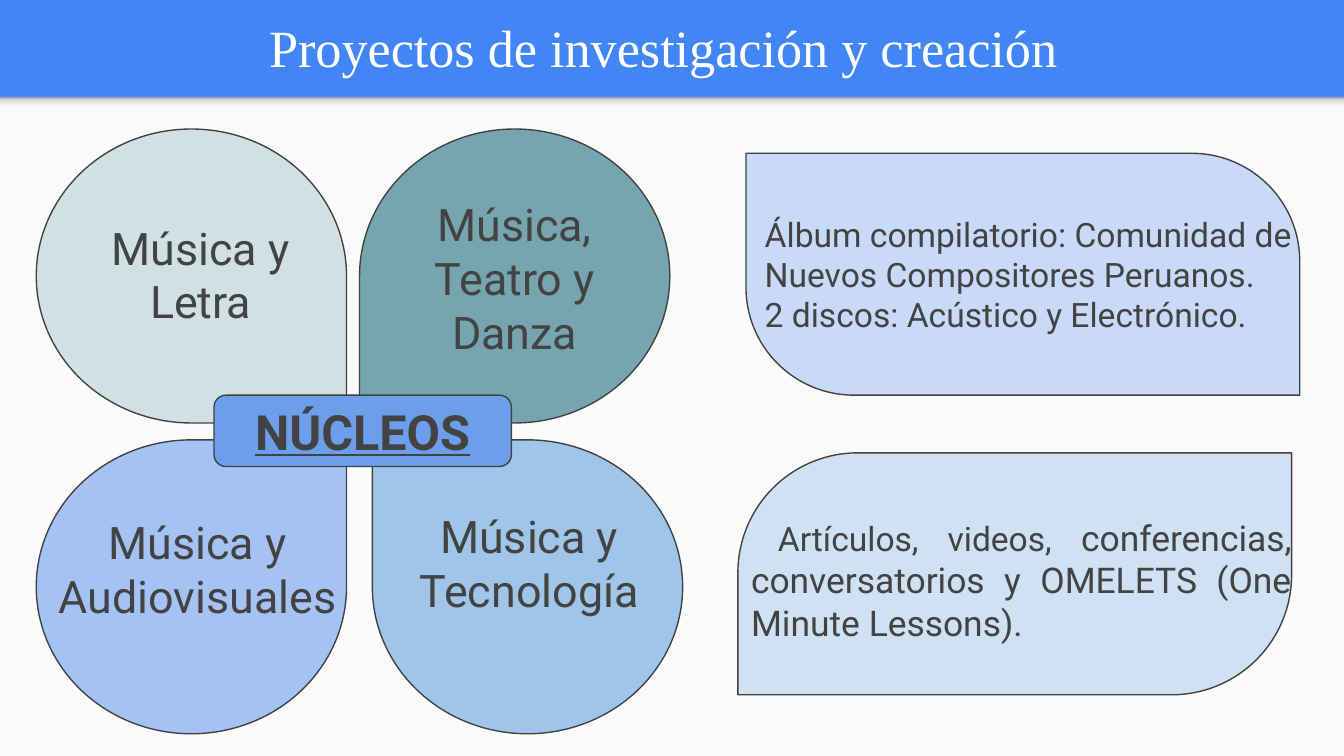
from collections import namedtuple

from lxml.etree import SubElement
from pptx import Presentation
from pptx.dml.color import RGBColor
from pptx.enum.shapes import MSO_SHAPE as SHAPE
from pptx.enum.text import MSO_ANCHOR as ANCHOR, PP_ALIGN as ALIGN
from pptx.oxml.ns import qn
from pptx.util import Inches, Pt

Box = namedtuple("Box", "x y w h")
W = 10
H = W * 9 / 16
BAND = 0.72
FONT = "Roboto"
C = {
    "band": "4285F4", "page": "FAFAFA", "title": "FFFFFF",
    "ink": "434343", "line": "424242", "core": "6D9EEB",
    "letra": "D0E0E3", "danza": "76A5AF", "audio": "A4C2F4", "tecno": "9FC5E8",
    "album": "C9DAF8", "articles": "CFE2F3",
    "shade_light": "F9F9F9", "shade_mid": "DEDEDE", "shade_dark": "999999",
}


def rgb(name):
    return RGBColor.from_string(C[name])


def emu(box):
    return [Inches(v) for v in box]


def part(box, dx, dy, w, h):
    """Box given as shares of another box."""
    return Box(box.x + dx * box.w, box.y + dy * box.h, w * box.w, h * box.h)


def add_shape(s, kind, box, fill, adj=(), line=True, flip_h=False, flip_v=False):
    sp = s.shapes.add_shape(kind, *emu(box))
    sp.shadow.inherit = False
    sp.fill.solid()
    sp.fill.fore_color.rgb = rgb(fill)
    if line:
        sp.line.color.rgb = rgb("line")
        sp.line.width = Pt(0.75)
    else:
        sp.line.fill.background()
    for i, value in enumerate(adj):
        sp.adjustments[i] = value
    # A vertical flip is a half turn plus a horizontal flip
    if flip_v:
        sp.rotation = 180
    if flip_h != flip_v:
        sp._element.spPr.find(qn("a:xfrm")).set("flipH", "1")
    return sp


def set_text(sp, paragraphs, align, anchor=ANCHOR.TOP, font=FONT, color="ink"):
    """Each paragraph is a list of (text, size) runs."""
    tf = sp.text_frame
    tf.word_wrap = True
    tf.vertical_anchor = anchor
    tf.margin_left = tf.margin_right = tf.margin_top = tf.margin_bottom = Inches(0.1)
    for i, runs in enumerate(paragraphs):
        p = tf.add_paragraph() if i else tf.paragraphs[0]
        p.alignment = align
        for text, size in runs:
            r = p.add_run()
            r.text = text
            r.font.size = Pt(size)
            r.font.name = font
            r.font.color.rgb = rgb(color)
    return tf


def add_page(s, box):
    add_shape(s, SHAPE.RECTANGLE, box, "page", line=False)
    shade = add_shape(s, SHAPE.RECTANGLE, box._replace(h=0.12), "page", line=False)
    shade.fill.gradient()
    shade.fill.gradient_angle = 90
    stops = shade._element.spPr.find(".//" + qn("a:gsLst"))
    for old in list(stops):
        stops.remove(old)
    for pos, color in ((0, "shade_light"), (36, "shade_light"),
                       (80, "shade_mid"), (100, "shade_dark")):
        gs = SubElement(stops, qn("a:gs"), pos=str(pos * 1000))
        SubElement(gs, qn("a:srgbClr"), val=C[color])


def add_title(s, box):
    title = s.shapes.title
    title.left, title.top, title.width, title.height = emu(box)
    set_text(title, [[("Proyectos de investigación y creación", 28)]],
             ALIGN.CENTER, ANCHOR.MIDDLE, "Times New Roman", "title")


def add_nuclei(s, box):
    """Four petals pointing at the centre, with the name over it."""
    w, h = 0.48 * box.w, 0.486 * box.h
    low = box.y + box.h - h
    petals = [
        ("Música y Letra", "letra", 0, box.y, (0.15, 0.265, 0.76, 0.42)),
        ("Música, Teatro y Danza", "danza", 0.5, box.y, (0.12, 0.185, 0.76, 0.42)),
        ("Música y Audiovisuales", "audio", 0, low, (0, 0.21, 1.04, 0.73)),
        ("Música y Tecnología", "tecno", 0.52, low, (0.05, 0.19, 0.91, 0.53)),
    ]
    for text, fill, column, y, label in petals:
        petal = Box(box.x + column * box.w, y, w, h)
        add_shape(s, SHAPE.TEAR, petal, fill, [1],
                  flip_h=column > 0, flip_v=y < low)
        tb = s.shapes.add_textbox(*emu(part(petal, *label)))
        set_text(tb, [[(text, 24)]], ALIGN.CENTER)

    core = add_shape(s, SHAPE.ROUNDED_RECTANGLE, part(box, 0.275, 0.44, 0.46, 0.118),
                     "core", [0.167])
    tf = set_text(core, [[("NÚCLEOS", 26)]], ALIGN.CENTER, ANCHOR.MIDDLE)
    font = tf.paragraphs[0].runs[0].font
    font.bold = font.underline = True


def add_product(s, box, fill, corner, paragraphs, label, flip_v=False, indent=0):
    add_shape(s, SHAPE.ROUND_2_DIAG_RECTANGLE, box, fill, [corner, 0], flip_v=flip_v)
    tb = s.shapes.add_textbox(*emu(part(box, *label)))
    tf = set_text(tb, paragraphs, ALIGN.JUSTIFY)
    if indent:
        tf.paragraphs[0]._p.get_or_add_pPr().set("indent", str(Inches(indent)))


def main():
    prs = Presentation()
    prs.slide_width, prs.slide_height = Inches(W), Inches(H)
    s = prs.slides.add_slide(prs.slide_layouts[5])
    s.background.fill.solid()
    s.background.fill.fore_color.rgb = rgb("band")

    add_page(s, Box(0, BAND, W, H - BAND))
    add_title(s, Box(0.11, 0.02, 9.65, 0.66))
    add_nuclei(s, Box(0.27, 0.96, 4.81, 4.5))
    add_product(s, Box(5.55, 1.14, 4.12, 1.8), "album", 0.446, [
        [("Álbum compilatorio: Comunidad de Nuevos Compositores Peruanos.", 18)],
        [("2 discos: Acústico y Electrónico.", 18)],
    ], (0.01, 0.195, 1, 0.51), flip_v=True)
    add_product(s, Box(5.49, 3.37, 4.12, 1.8), "articles", 0.496, [
        [("Artículos, videos, ", 18),
         ("conferencias, conversatorios y OMELETS (One Minute Lessons).", 19)],
    ], (0, 0.205, 1.024, 0.51), indent=0.2)
    prs.save("out.pptx")


if __name__ == "__main__":
    main()
